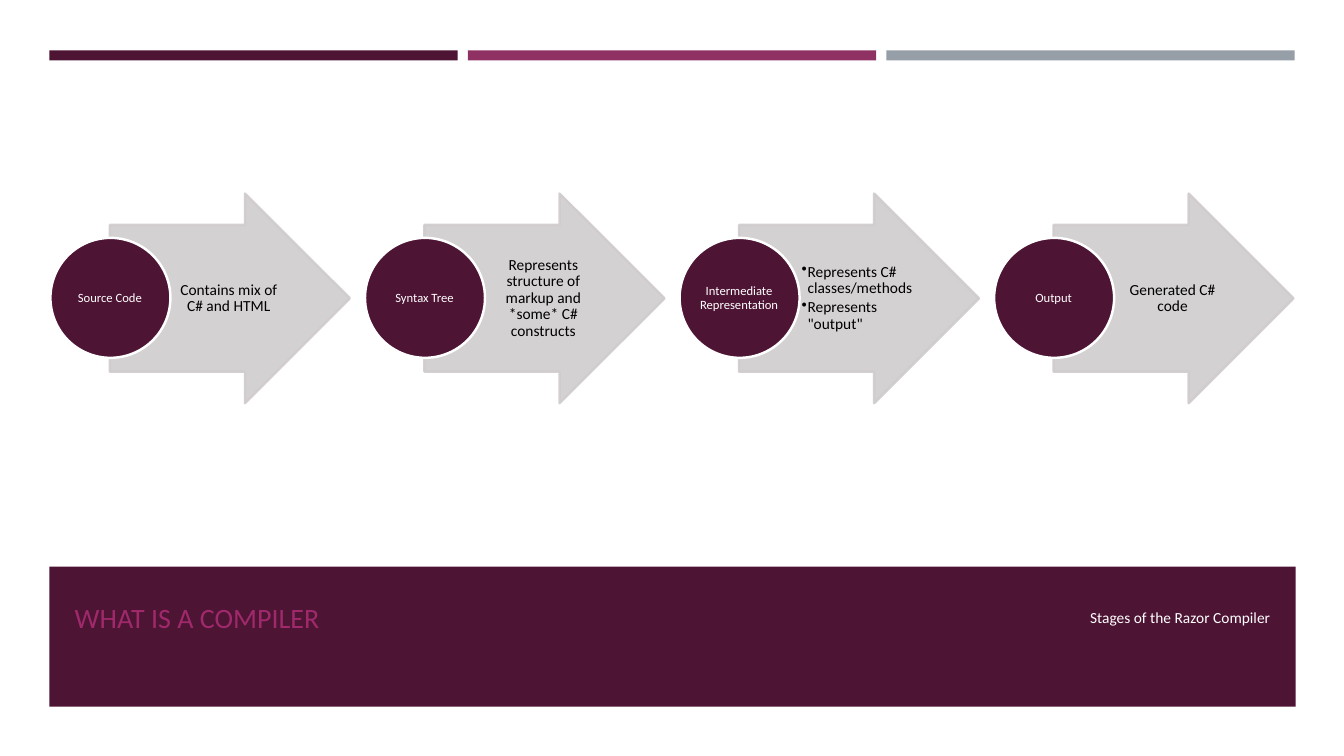
import pptx
import pptx.util
import pptx.dml.color
import pptx.enum.shapes
import pptx.enum.text
import pptx.oxml
import pptx.oxml.ns

Inches = pptx.util.Inches
Pt = pptx.util.Pt
RGBColor = pptx.dml.color.RGBColor
SHAPE = pptx.enum.shapes.MSO_SHAPE
ALIGN = pptx.enum.text.PP_ALIGN

PLUM = RGBColor(0x4D, 0x14, 0x34)
BERRY = RGBColor(0x90, 0x31, 0x63)
SLATE = RGBColor(0x96, 0x9F, 0xA7)
MAGENTA = RGBColor(0x9F, 0x29, 0x6B)
SILVER = RGBColor(0xD0, 0xCC, 0xCE)
WHITE = RGBColor(0xFF, 0xFF, 0xFF)
BLACK = RGBColor(0x00, 0x00, 0x00)

FONT = "Calibri"
STAGES = [
    ("Source Code", ["Contains mix of C# and HTML"]),
    ("Syntax Tree", ["Represents structure of markup and *some* C# constructs"]),
    ("Intermediate Representation",
     ["Represents C# classes/methods", 'Represents "output"']),
    ("Output", ["Generated C# code"]),
]


def add_filled(shapes, kind, box, color, outline=None):
    """Add a flat preset shape with an optional outline colour."""
    shape = shapes.add_shape(kind, *map(Inches, box))
    shape.shadow.inherit = False
    shape.fill.solid()
    shape.fill.fore_color.rgb = color
    if outline is None:
        shape.line.fill.background()
    else:
        shape.line.color.rgb = outline
        shape.line.width = Pt(1.75)
    return shape


def make_translucent(shape, percent):
    """Set the opacity of a shape's fill and outline."""
    for color in shape._element.spPr.iter(pptx.oxml.ns.qn("a:srgbClr")):
        alpha = pptx.oxml.parse_xml(
            f'<a:alpha {pptx.oxml.ns.nsdecls("a")} val="{percent * 1000}"/>')
        color.append(alpha)


def style_paragraph(paragraph, size, color, align):
    """Format a paragraph and its runs."""
    paragraph.alignment = align
    for run in paragraph.runs:
        run.font.name = FONT
        run.font.size = Pt(size)
        run.font.bold = False
        run.font.color.rgb = color


def add_bullet(paragraph):
    """Give a paragraph a hanging round bullet."""
    properties = paragraph._p.get_or_add_pPr()
    properties.set("marL", str(Inches(0.06)))
    properties.set("indent", str(-Inches(0.06)))
    properties.append(pptx.oxml.parse_xml(
        f'<a:buChar {pptx.oxml.ns.nsdecls("a")} char="•"/>'))


def add_label(shapes, box, lines, size, color):
    """Add a centred label, or a bulleted one for several lines."""
    label = shapes.add_textbox(*map(Inches, box))
    frame = label.text_frame
    frame.word_wrap = True
    frame.vertical_anchor = pptx.enum.text.MSO_ANCHOR.MIDDLE
    frame.margin_left = frame.margin_right = Inches(0.02)
    frame.margin_top = frame.margin_bottom = Inches(0.01)
    frame.text = "\n".join(lines)
    bulleted = len(lines) > 1
    for paragraph in frame.paragraphs:
        style_paragraph(paragraph, size, color,
                        ALIGN.LEFT if bulleted else ALIGN.CENTER)
        paragraph.line_spacing = 0.9
        paragraph.space_after = Pt(size * (0.15 if bulleted else 0.35))
        if bulleted:
            add_bullet(paragraph)


def add_stage(shapes, left, top, name, details):
    """Draw one compiler stage: arrow, details, circle and name."""
    arrow = add_filled(shapes, SHAPE.RIGHT_ARROW,
                       (left + 0.59, top, 2.38, 2.08), SILVER, SILVER)
    arrow.adjustments[0] = 0.7
    arrow.adjustments[1] = 0.5
    make_translucent(arrow, 90)
    add_label(shapes, (left + 1.19, top + 0.31, 1.16, 1.46), details, 11, BLACK)
    add_filled(shapes, SHAPE.OVAL, (left, top + 0.44, 1.19, 1.19), PLUM, WHITE)
    add_label(shapes, (left + 0.17, top + 0.62, 0.84, 0.84), [name], 9, WHITE)


def add_stages(slide, left, top, pitch):
    """Lay out the stages from left to right at an equal pitch."""
    group = slide.shapes.add_group_shape()
    for index, (name, details) in enumerate(STAGES):
        add_stage(group.shapes, left + index * pitch, top, name, details)


def add_top_bars(slide, left, top, pitch):
    """Draw the three coloured bars along the top."""
    for index, color in enumerate((PLUM, BERRY, SLATE)):
        add_filled(slide.shapes, SHAPE.RECTANGLE,
                   (left + index * pitch, top, 4.05, 0.1), color)


def fill_placeholder(placeholder, box, text, size, color, align):
    """Move a placeholder to its box and set its formatted text."""
    (placeholder.left, placeholder.top,
     placeholder.width, placeholder.height) = map(Inches, box)
    frame = placeholder.text_frame
    frame.text = text
    frame.word_wrap = True
    frame.auto_size = pptx.enum.text.MSO_AUTO_SIZE.NONE
    frame.vertical_anchor = pptx.enum.text.MSO_ANCHOR.MIDDLE
    style_paragraph(frame.paragraphs[0], size, color, align)


def add_title_band(slide, left, top):
    """Draw the bottom band behind the title and the subtitle."""
    title, subtitle = slide.placeholders
    band = add_filled(slide.shapes, SHAPE.RECTANGLE,
                      (left, top, 12.36, 1.39), PLUM)
    title._element.addprevious(band._element)
    fill_placeholder(title, (left + 0.15, top + 0.13, 5.37, 0.75),
                     "WHAT IS A COMPILER", 20, MAGENTA, ALIGN.LEFT)
    fill_placeholder(subtitle, (left + 5.79, top + 0.13, 6.42, 0.75),
                     "Stages of the Razor Compiler", 11, WHITE, ALIGN.RIGHT)
    subtitle.text_frame.paragraphs[0].space_after = Pt(6)


def main():
    """Build and save the slide."""
    presentation = pptx.Presentation()
    presentation.slide_width = Inches(13.33)
    presentation.slide_height = Inches(7.5)
    section_layout = presentation.slide_layouts[2]
    slide = presentation.slides.add_slide(section_layout)
    add_top_bars(slide, 0.49, 0.5, 4.15)
    add_title_band(slide, 0.49, 5.62)
    add_stages(slide, 0.5, 1.92, 3.12)
    presentation.save("out.pptx")


if __name__ == "__main__":
    main()
